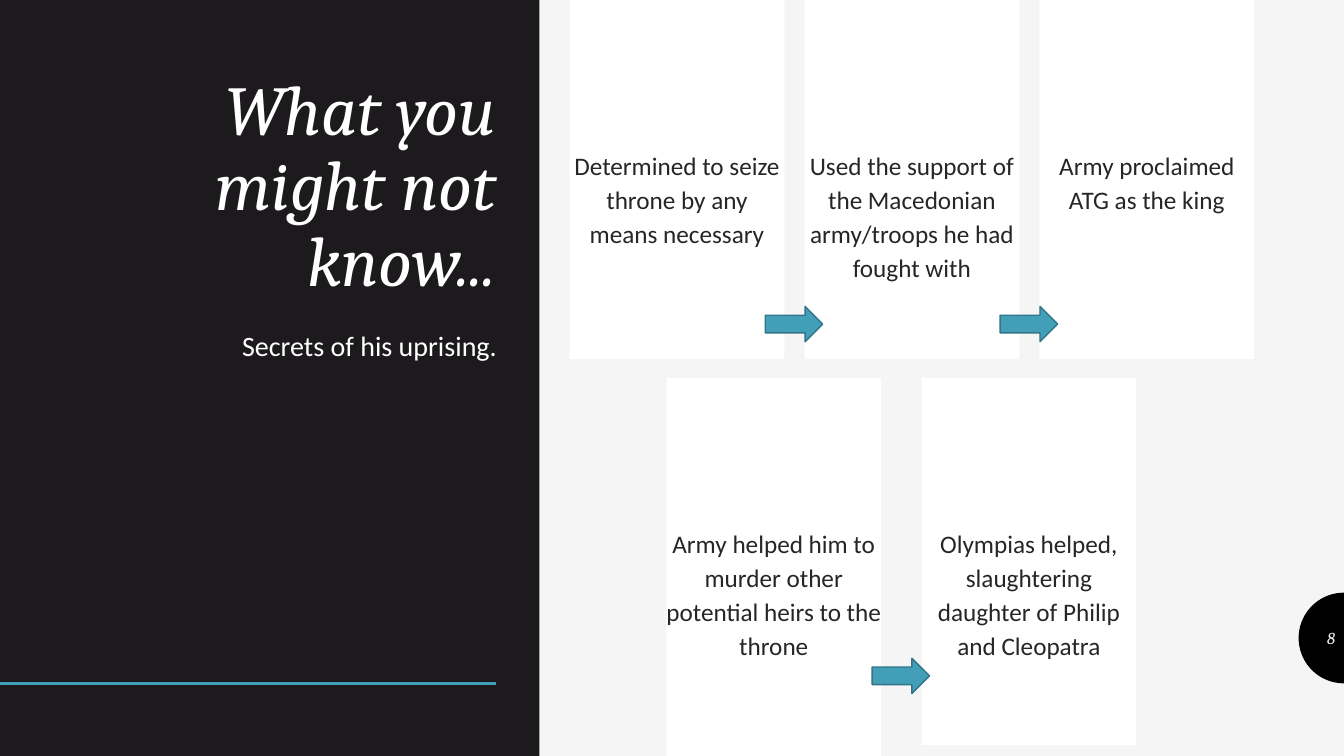
import math
from lxml import etree
from pptx import Presentation
from pptx.dml.color import RGBColor
from pptx.enum.shapes import MSO_CONNECTOR, MSO_SHAPE
from pptx.enum.text import MSO_ANCHOR, MSO_AUTO_SIZE, PP_ALIGN
from pptx.oxml.ns import qn
from pptx.util import Inches, Pt

RECT = MSO_SHAPE.RECTANGLE
ARROW = MSO_SHAPE.RIGHT_ARROW
LINE = MSO_CONNECTOR.STRAIGHT
TOP, MIDDLE, BOTTOM = MSO_ANCHOR.TOP, MSO_ANCHOR.MIDDLE, MSO_ANCHOR.BOTTOM
CENTER, RIGHT = PP_ALIGN.CENTER, PP_ALIGN.RIGHT
FIXED = MSO_AUTO_SIZE.NONE

WIDE, HIGH = 13.33, 7.5
TEAL = "439EB7"
CARD = 2.13
CARDS = [
    (5.65, 0, 3.56, "Determined to seize throne by any means necessary"),
    (7.98, 0, 3.56, "Used the support of the Macedonian army/troops he had fought with"),
    (10.31, 0, 3.56, "Army proclaimed ATG as the king"),
    (6.61, 3.75, 3.75, "Army helped him to murder other potential heirs to the throne"),
    (9.14, 3.75, 3.64, "Olympias helped, slaughtering daughter of Philip and Cleopatra"),
]
ARROWS = [(7.59, 3.04), (9.92, 3.04), (8.65, 6.53)]


def color(code):
    return RGBColor.from_string(code)


def paint(shape, fill, edge=None):
    shape.shadow.inherit = False
    shape.fill.solid()
    shape.fill.fore_color.rgb = color(fill)
    if edge:
        shape.line.color.rgb = color(edge)
        shape.line.width = Pt(1)
    else:
        shape.line.fill.background()


def write(shape, text, size, face, code, align, anchor=TOP, space=1.0, italic=False):
    frame = shape.text_frame
    frame.word_wrap = True
    frame.auto_size = FIXED
    frame.vertical_anchor = anchor
    para = frame.paragraphs[0]
    para.alignment = align
    para.line_spacing = space
    para.space_before = Pt(0)
    run = para.add_run()
    run.text = text
    font = run.font
    font.size, font.name, font.italic = Pt(size), face, italic
    font.color.rgb = color(code)


def place(slide, holder, left, top, width, height):
    holder.left, holder.top = Inches(left), Inches(top)
    holder.width, holder.height = Inches(width), Inches(height)
    slide.shapes._spTree.append(holder._element)


def add_box(slide, kind, left, top, width, height, fill, edge=None):
    box = slide.shapes.add_shape(
        kind, Inches(left), Inches(top), Inches(width), Inches(height))
    paint(box, fill, edge)
    return box


def add_badge(slide):
    radius, mid = 0.45, 6.33
    turns = [math.radians(90 + 5 * step) for step in range(37)]
    points = [(Inches(WIDE + radius * math.cos(turn)),
               Inches(mid + radius * math.sin(turn))) for turn in turns]
    pen = slide.shapes.build_freeform(*points[0])
    pen.add_line_segments(points[1:], close=True)
    paint(pen.convert_to_shape(), "000000")


def add_rule(slide):
    rule = slide.shapes.add_connector(
        LINE, Inches(0), Inches(6.78), Inches(4.92), Inches(6.78))
    rule.line.color.rgb = color(TEAL)
    rule.line.width = Pt(2)
    etree.SubElement(rule._element.spPr, qn("a:effectLst"))


def add_title(slide):
    title = slide.shapes.title
    place(slide, title, 0.83, 0.61, 4.19, 2.43)
    write(title, "What you might not know...", 50, "Cambria", "FFFFFF",
          RIGHT, BOTTOM, 0.9, True)


def add_body(slide):
    body = slide.placeholders[1]
    place(slide, body, 0.83, 3.17, 4.2, 3.12)
    props = body.text_frame.paragraphs[0]._p.get_or_add_pPr()
    props.set("marL", "0")
    props.set("indent", "0")
    etree.SubElement(props, qn("a:buNone"))
    write(body, "Secrets of his uprising.", 20, "Calibri", "FFFFFF",
          RIGHT, space=1.12)


def add_card(slide, left, top, height, text):
    card = add_box(slide, RECT, left, top, CARD, height, "FFFFFF")
    frame = card.text_frame
    frame.margin_left = frame.margin_right = frame.margin_bottom = 0
    frame.margin_top = Inches(1.46)
    write(card, text, 18, "Calibri", "262626", CENTER, space=1.12)


def add_number(slide):
    box = slide.shapes.add_textbox(
        Inches(12.89), Inches(6.13), Inches(0.45), Inches(0.4))
    write(box, "8", 12, "Cambria", "F5F5F5", RIGHT, MIDDLE, italic=True)


def main():
    deck = Presentation()
    deck.slide_width, deck.slide_height = Inches(WIDE), Inches(HIGH)
    slide = deck.slides.add_slide(deck.slide_layouts[1])
    back = slide.background.fill
    back.solid()
    back.fore_color.rgb = color("F5F5F5")
    add_badge(slide)
    add_box(slide, RECT, 0, 0, 5.35, HIGH, "1D1A1D")
    add_rule(slide)
    add_title(slide)
    add_body(slide)
    for card in CARDS:
        add_card(slide, *card)
    add_number(slide)
    for left, top in ARROWS:
        add_box(slide, ARROW, left, top, 0.57, 0.35, TEAL, "327587")
    deck.save("out.pptx")


if __name__ == "__main__":
    main()
